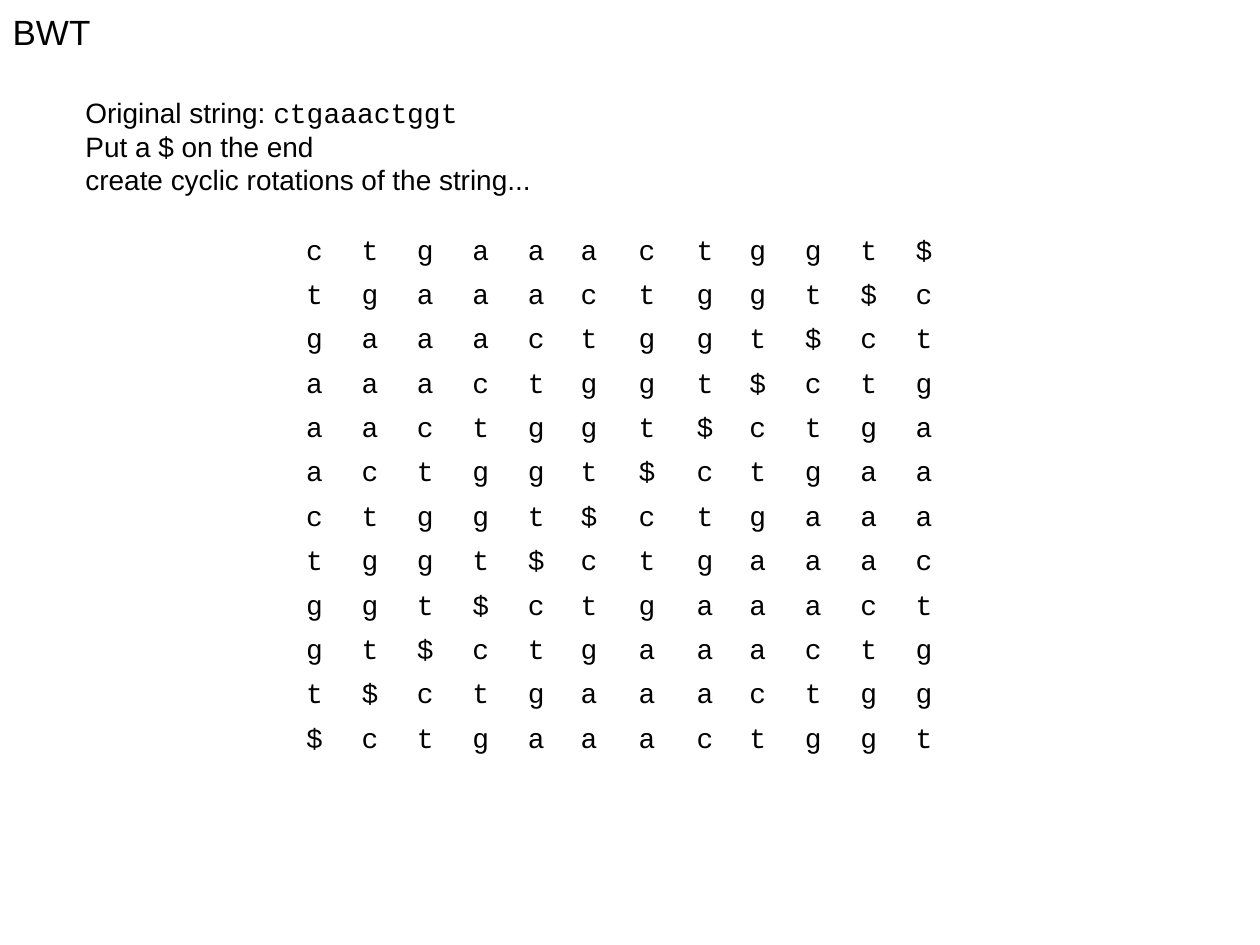
"""Build a slide showing the cyclic rotations used by the BWT."""
import pptx
import pptx.dml.color
import pptx.enum.text
import pptx.util
from pptx.util import Inches

COLORS = {"text": "000000"}
SANS = "Arial"
MONO = "Courier New"
SEQUENCE = "ctgaaactggt"
COLUMN_WIDTHS = [0.44] * 4 + [0.42, 0.46, 0.46, 0.42] + [0.44] * 4
ROW_HEIGHT = 0.27


def format_run(run, font_name, size):
    """Set the font, size and colour of a run."""
    run.font.name = font_name
    run.font.size = pptx.util.Pt(size)
    run.font.color.rgb = pptx.dml.color.RGBColor.from_string(COLORS["text"])


def set_title(slide, text):
    """Place and format the slide title."""
    title = slide.shapes.title
    title.left, title.top = Inches(0), Inches(0)
    title.width, title.height = Inches(6.67), Inches(0.5)
    frame = title.text_frame
    frame.text = text
    frame.auto_size = pptx.enum.text.MSO_AUTO_SIZE.NONE
    frame.vertical_anchor = pptx.enum.text.MSO_ANCHOR.MIDDLE
    paragraph = frame.paragraphs[0]
    paragraph.alignment = pptx.enum.text.PP_ALIGN.LEFT
    format_run(paragraph.runs[0], SANS, 20)


def add_steps(slide, lines):
    """Add the steps, each a list of text and font pairs."""
    box = slide.shapes.add_textbox(Inches(0.58), Inches(0.71), Inches(3.75), Inches(0.9))
    frame = box.text_frame
    frame.word_wrap = False
    for index, line in enumerate(lines):
        paragraph = frame.add_paragraph() if index else frame.paragraphs[0]
        for text, font_name in line:
            run = paragraph.add_run()
            run.text = text
            format_run(run, font_name, 16)


def add_rotations(slide, text):
    """Add a table with one cyclic rotation of the text in each row."""
    count = len(text)
    table = slide.shapes.add_table(
        count, count, Inches(2.33), Inches(1.83),
        Inches(sum(COLUMN_WIDTHS)), Inches(ROW_HEIGHT * count),
    ).table
    table.first_row = False
    table.horz_banding = False
    for column, width in zip(table.columns, COLUMN_WIDTHS):
        column.width = Inches(width)
    for shift, row in enumerate(table.rows):
        row.height = Inches(ROW_HEIGHT)
        for cell, letter in zip(row.cells, text[shift:] + text[:shift]):
            cell.text = letter
            cell.fill.background()
            cell.vertical_anchor = pptx.enum.text.MSO_ANCHOR.BOTTOM
            format_run(cell.text_frame.paragraphs[0].runs[0], MONO, 16)


def main():
    """Create the presentation and save it."""
    presentation = pptx.Presentation()
    presentation.slide_width = Inches(10)
    presentation.slide_height = Inches(7.5)
    slide = presentation.slides.add_slide(presentation.slide_layouts[5])
    set_title(slide, "BWT")
    add_rotations(slide, SEQUENCE + "$")
    add_steps(slide, [
        [("Original string: ", SANS), (SEQUENCE, MONO)],
        [("Put a $ on the end", SANS)],
        [("create cyclic rotations of the string...", SANS)],
    ])
    presentation.save("out.pptx")


if __name__ == "__main__":
    main()
